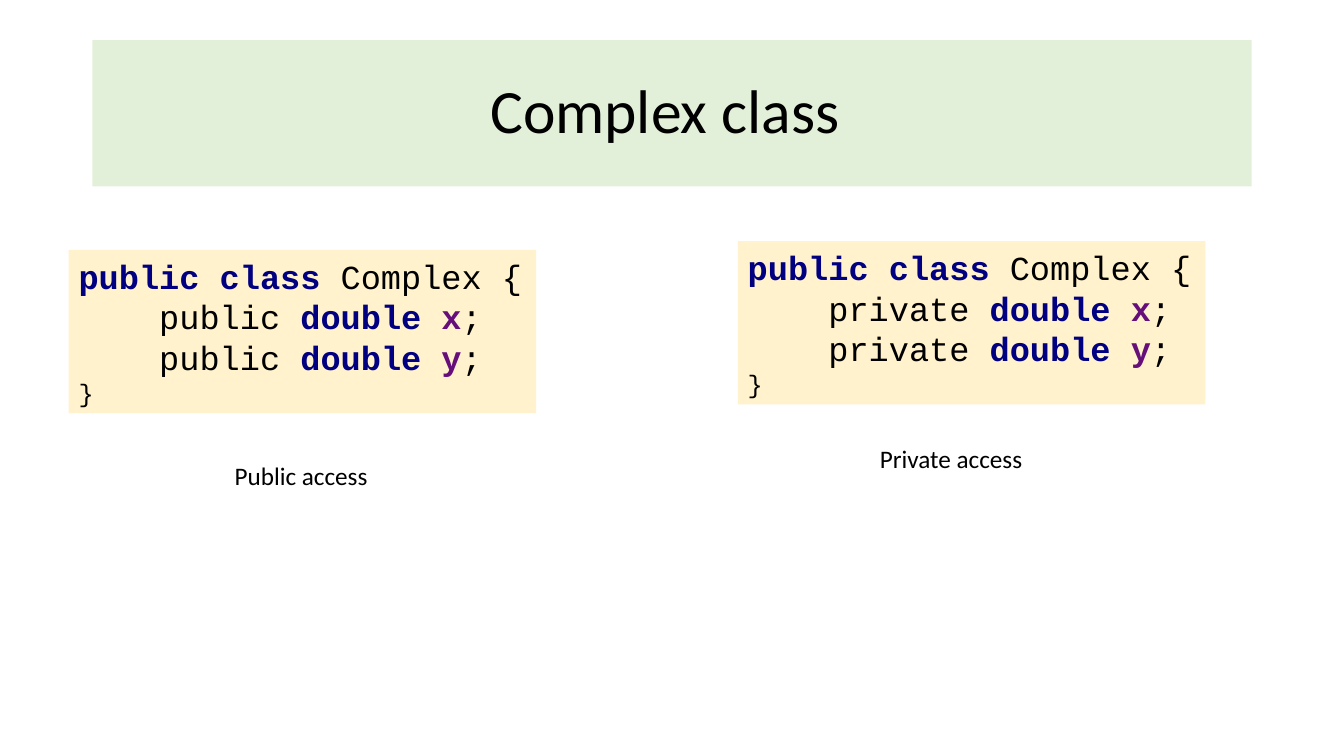
from pptx import Presentation
from pptx.dml.color import RGBColor
from pptx.enum.shapes import MSO_SHAPE
from pptx.enum.text import MSO_ANCHOR, PP_ALIGN
from pptx.util import Pt

# Content: each panel has an access keyword, caption, panel place and caption box
TITLE = "Complex class "
FIELDS = ["x", "y"]
PANELS = [
    ("public", "Public access", (49, 178.5), (160.5, 325.5, 111)),
    ("private", "Private access", (527, 172.3), (621.4, 313.2, 117.4)),
]
COLORS = {
    "banner": "E2F0D9",
    "panel": "FFF2CC",
    "plain": "000000",
    "keyword": "000080",
    "field": "660E7A",
}
PANEL_WIDTH, PANEL_HEIGHT = 334, 116.6
CODE_SIZE, BRACE_SIZE, CAPTION_SIZE, TITLE_SIZE = 24, 18, 18, 44
CODE_INDENT = 4 * 0.6 * CODE_SIZE  # four monospaced characters


def color(name):
    return RGBColor.from_string(COLORS[name])


def fill(shape, name):
    shape.fill.solid()
    shape.fill.fore_color.rgb = color(name)
    shape.line.fill.background()


def add_run(paragraph, words, size, font="Calibri", role="plain"):
    run = paragraph.add_run()
    run.text = words
    run.font.size = Pt(size)
    run.font.name = font
    run.font.bold = role != "plain"
    run.font.color.rgb = color(role)


def code_lines(access):
    """Lines of the class as (indent, size, [(words, role)])."""
    opening = [("public class ", "keyword"), ("Complex {", "plain")]
    yield 0, CODE_SIZE, opening
    for field in FIELDS:
        declaration = [(access + " ", "plain"), ("double ", "keyword"),
                       (field, "field"), (";", "plain")]
        yield CODE_INDENT, CODE_SIZE, declaration
    yield 0, BRACE_SIZE, [("}", "plain")]


presentation = Presentation()
presentation.slide_width, presentation.slide_height = Pt(960), Pt(540)
slide = presentation.slides.add_slide(presentation.slide_layouts[5])

# Title banner
banner = slide.shapes.title
banner.left, banner.top, banner.width, banner.height = Pt(66), Pt(28.75), Pt(828), Pt(104.4)
fill(banner, "banner")
banner.text_frame.vertical_anchor = MSO_ANCHOR.MIDDLE
heading = banner.text_frame.paragraphs[0]
heading.alignment = PP_ALIGN.CENTER
heading.line_spacing = 0.9
add_run(heading, TITLE, TITLE_SIZE)

for access, caption, (left, top), (caption_left, caption_top, caption_width) in PANELS:
    # Code panel
    panel = slide.shapes.add_shape(MSO_SHAPE.RECTANGLE, Pt(left), Pt(top),
                                   Pt(PANEL_WIDTH), Pt(PANEL_HEIGHT))
    panel.shadow.inherit = False
    fill(panel, "panel")
    code = panel.text_frame
    code.word_wrap = True
    code.vertical_anchor = MSO_ANCHOR.MIDDLE
    for number, (indent, size, parts) in enumerate(code_lines(access)):
        line = code.add_paragraph() if number else code.paragraphs[0]
        line.alignment = PP_ALIGN.LEFT
        line._p.get_or_add_pPr().set("marL", str(Pt(indent)))
        for words, role in parts:
            add_run(line, words, size, "Courier New", role)

    # Caption under the panel
    label = slide.shapes.add_textbox(Pt(caption_left), Pt(caption_top),
                                     Pt(caption_width), Pt(29))
    label.text_frame.word_wrap = False
    add_run(label.text_frame.paragraphs[0], caption, CAPTION_SIZE)

presentation.save("out.pptx")
